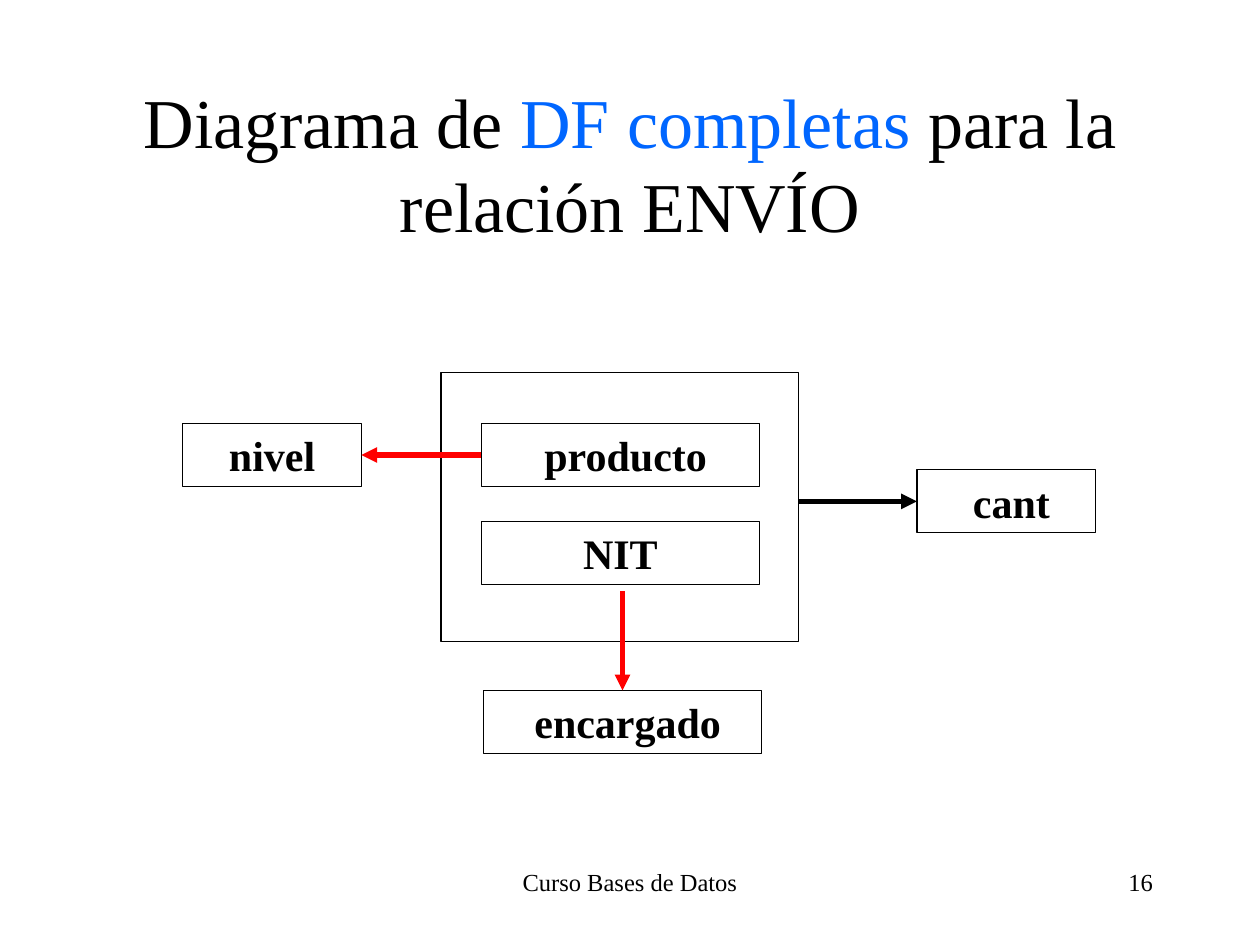
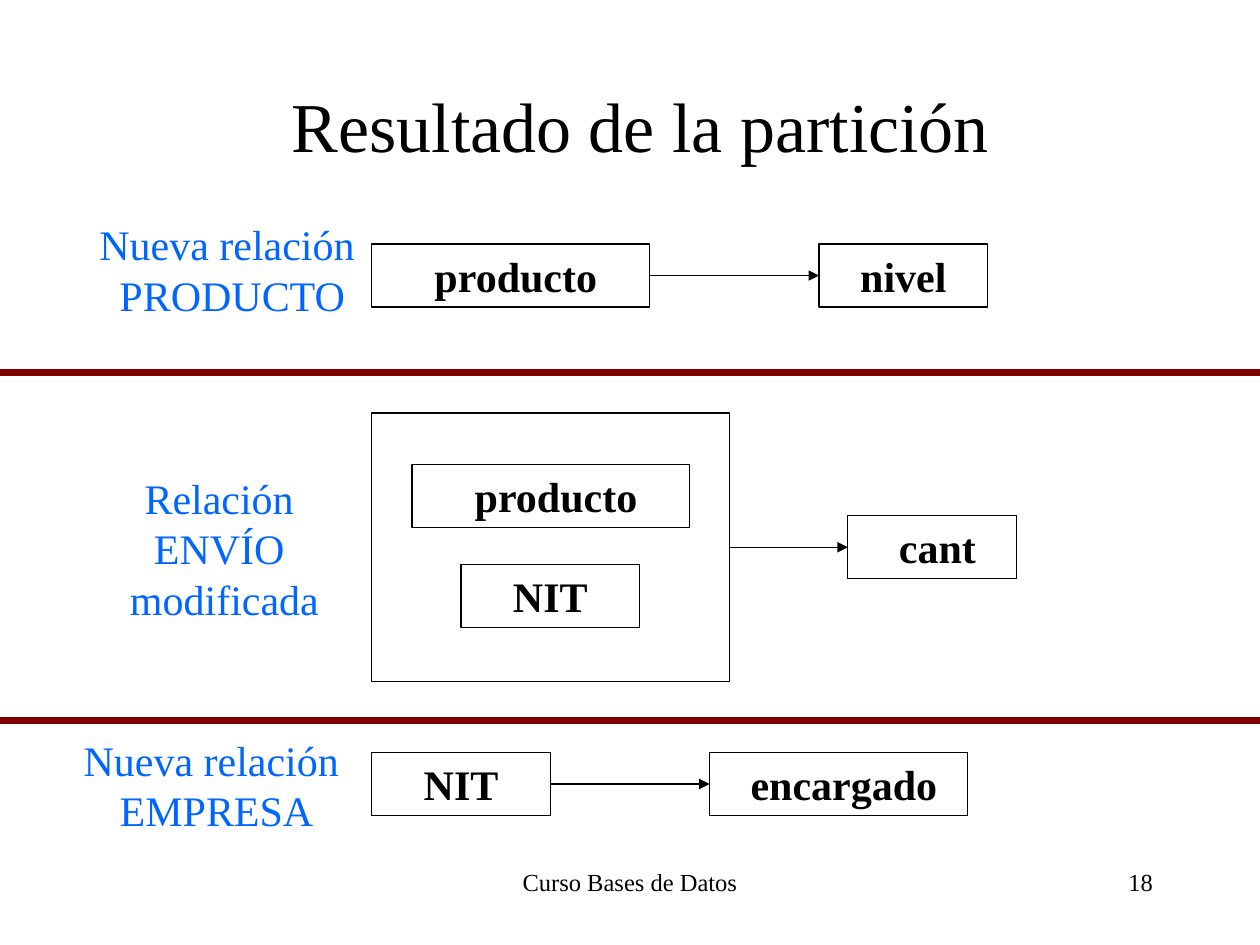
"""Build two slides on the functional dependencies of the ENVÍO relation."""
from lxml.etree import SubElement
from pptx import Presentation
from pptx.dml.color import RGBColor
from pptx.enum.shapes import MSO_CONNECTOR, MSO_SHAPE
from pptx.enum.text import MSO_ANCHOR, MSO_AUTO_SIZE, PP_ALIGN
from pptx.oxml.ns import qn
from pptx.util import Pt

BLACK = RGBColor(0x00, 0x00, 0x00)
BLUE = RGBColor(0x00, 0x66, 0xFF)
RED = RGBColor(0xFF, 0x00, 0x00)
MAROON = RGBColor(0x80, 0x00, 0x00)
FONT = "Times New Roman"
TITLE_LAYOUT = 5
SLIDE_WIDTH, SLIDE_HEIGHT = 720, 540
ATTRIBUTE_HEIGHT = 36
FRAME_SIZE = (204.5, 153.5)
TOP, LEFT, BOTTOM, RIGHT = 0, 1, 2, 3

FOOTER = "Curso Bases de Datos"
SLIDES = [
    {
        "title": [("Diagrama de ", BLACK), ("DF completas", BLUE),
                  (" para la relación ENVÍO", BLACK)],
        "title_at": (54, 48),
        "number": "16",
        "frame_at": (252, 213),
        "attributes": {
            "producto": (" producto", 275, 242, 159),
            "nit": ("NIT", 275, 298, 159),
            "encargado": (" encargado", 276.5, 394.5, 158.5),
            "nivel": ("nivel", 104.5, 242, 102),
            "cant": (" cant", 524, 268.5, 102),
        },
        "arrows": [
            (("producto", LEFT), ("nivel", RIGHT), RED, 3),
            ((456.5, 286.5), ("cant", LEFT), BLACK, 3),
            ((355.75, 338), ("encargado", TOP), RED, 3),
        ],
        "labels": [],
        "dividers": [],
    },
    {
        "title": [("Resultado de la partición", BLACK)],
        "title_at": (60, 26),
        "number": "18",
        "frame_at": (212.5, 236),
        "attributes": {
            "producto": (" producto", 212.5, 139.5, 158.5),
            "nivel": ("nivel", 468, 139.5, 96.5),
            "clave producto": (" producto", 235.5, 265.5, 158.5),
            "clave nit": ("NIT", 263.5, 322.5, 102),
            "cant": (" cant", 484.5, 294.75, 96.5),
            "nit": ("NIT", 212.5, 430, 102),
            "encargado": (" encargado", 405.5, 430, 147.5),
        },
        "arrows": [
            (("producto", RIGHT), ("nivel", LEFT), BLACK, 0.75),
            (("frame", RIGHT), ("cant", LEFT), BLACK, 0.75),
            (("nit", RIGHT), ("encargado", LEFT), BLACK, 0.75),
        ],
        "labels": [
            (["Nueva relación ", "PRODUCTO"], 49.5, 121.5, 166.5, 65),
            (["Relación ", "ENVÍO ", "modificada"], 67, 266.5, 122.5, 93.5),
            (["Nueva relación ", "EMPRESA"], 40.5, 416, 166.5, 65),
        ],
        "dividers": [213, 412],
    },
]


def points(*lengths):
    return [Pt(length) for length in lengths]


def write(holder, paragraphs, size=24, bold=False, align=PP_ALIGN.CENTER,
          anchor=MSO_ANCHOR.TOP, wrap=True):
    frame = holder.text_frame
    frame.auto_size = MSO_AUTO_SIZE.NONE
    frame.word_wrap = wrap
    frame.vertical_anchor = anchor
    for index, runs in enumerate(paragraphs):
        paragraph = frame.add_paragraph() if index else frame.paragraphs[0]
        paragraph.alignment = align
        for text, color in runs:
            run = paragraph.add_run()
            run.text = text
            run.font.name = FONT
            run.font.size = Pt(size)
            run.font.bold = bold
            run.font.color.rgb = color


def add_text(slide, paragraphs, left, top, width, height, **style):
    area = slide.shapes.add_textbox(*points(left, top, width, height))
    write(area, paragraphs, **style)


def add_box(slide, left, top, width, height):
    box = slide.shapes.add_shape(MSO_SHAPE.RECTANGLE, *points(left, top, width, height))
    box.shadow.inherit = False
    box.fill.background()
    box.line.color.rgb = BLACK
    box.line.width = Pt(0.75)
    return box


def add_line(slide, start, end, color, weight):
    line = slide.shapes.add_connector(MSO_CONNECTOR.STRAIGHT, *points(*start, *end))
    line.line.color.rgb = color
    line.line.width = Pt(weight)
    SubElement(line.element.spPr, qn("a:effectLst"))
    return line


def add_arrow(slide, boxes, origin, target, color, weight):
    joined = origin[0] in boxes
    arrow = add_line(slide, (0, 0) if joined else origin, (0, 0), color, weight)
    if joined:
        arrow.begin_connect(boxes[origin[0]], origin[1])
    arrow.end_connect(boxes[target[0]], target[1])
    SubElement(arrow.line._get_or_add_ln(), qn("a:tailEnd"), type="triangle")


def add_slide(deck, content):
    slide = deck.slides.add_slide(deck.slide_layouts[TITLE_LAYOUT])
    title = slide.shapes.title
    title.left, title.top, title.width, title.height = points(*content["title_at"], 612, 90)
    write(title, [content["title"]], size=40, anchor=MSO_ANCHOR.MIDDLE)

    add_text(slide, [[(FOOTER, BLACK)]], 246, 492, 228, 36, size=14)
    add_text(slide, [[(content["number"], BLACK)]], 516, 492, 150, 36,
             size=14, align=PP_ALIGN.RIGHT)

    boxes = {"frame": add_box(slide, *content["frame_at"], *FRAME_SIZE)}
    for key, (attribute, left, top, width) in content["attributes"].items():
        boxes[key] = add_box(slide, left, top, width, ATTRIBUTE_HEIGHT)
        write(boxes[key], [[(attribute, BLACK)]], bold=True)
    for arrow in content["arrows"]:
        add_arrow(slide, boxes, *arrow)
    for lines, *place in content["labels"]:
        add_text(slide, [[(line, BLUE)] for line in lines], *place, wrap=False)
    for height in content["dividers"]:
        add_line(slide, (0, height), (SLIDE_WIDTH, height), MAROON, 4)


def main():
    deck = Presentation()
    deck.slide_width, deck.slide_height = points(SLIDE_WIDTH, SLIDE_HEIGHT)
    for content in SLIDES:
        add_slide(deck, content)
    deck.save("out.pptx")


if __name__ == "__main__":
    main()
